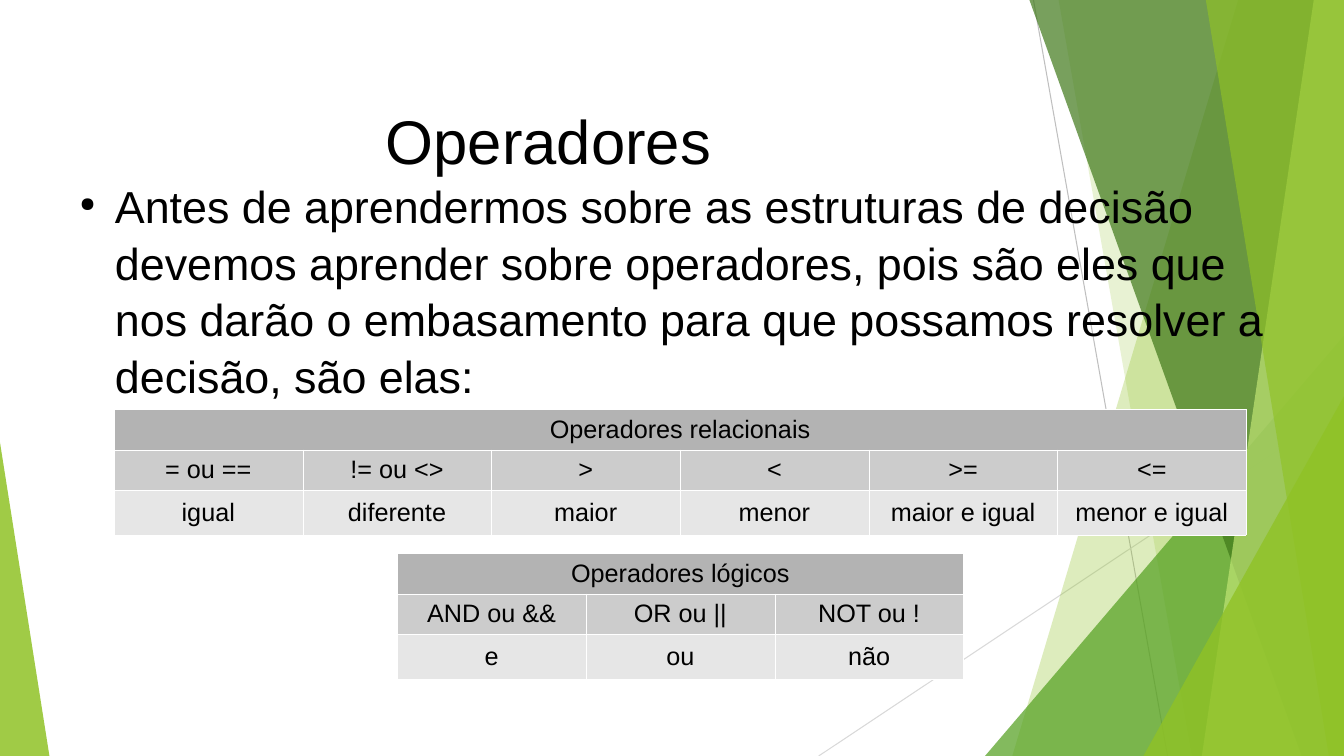
from lxml import etree
from pptx import Presentation
from pptx.dml.color import RGBColor
from pptx.enum.text import MSO_ANCHOR, PP_ALIGN
from pptx.oxml import parse_xml
from pptx.oxml.ns import nsdecls, qn
from pptx.util import Inches, Pt

BLACK = RGBColor(0x00, 0x00, 0x00)
WHITE = RGBColor(0xFF, 0xFF, 0xFF)
LIME = RGBColor(0x90, 0xC2, 0x26)
PALE_LIME = RGBColor(0xC0, 0xE4, 0x74)
GREEN = RGBColor(0x54, 0xA0, 0x21)
DARK_GREEN = RGBColor(0x3F, 0x78, 0x19)
LINE_GRAY = RGBColor(0xBF, 0xBF, 0xBF)
LIGHT_LINE_GRAY = RGBColor(0xD9, 0xD9, 0xD9)
ROW_GRAYS = [RGBColor(level, level, level) for level in (0xB3, 0xCC, 0xE6)]

WIDTH, HEIGHT = 13.33, 7.5
COLUMN_WIDTH = 1.872
ROW_HEIGHTS = (0.38, 0.38, 0.45)


class SlideBuilder:
    font_name = "Arial"

    def __init__(self, slide):
        self.slide = slide
        self.shapes = slide.shapes

    def style_paragraph(self, paragraph, size, alignment):
        paragraph.alignment = alignment
        for run in paragraph.runs:
            run.font.name = self.font_name
            run.font.size = Pt(size)
            run.font.color.rgb = BLACK

    def place_text(self, shape, box, text, anchor):
        shape.left, shape.top, shape.width, shape.height = map(Inches, box)
        frame = shape.text_frame
        frame.margin_left = frame.margin_right = 0
        frame.margin_top = frame.margin_bottom = 0
        frame.word_wrap = True
        frame.vertical_anchor = anchor
        frame.text = text
        return frame.paragraphs[0]

    def title(self, text, box):
        paragraph = self.place_text(self.shapes.title, box, text, MSO_ANCHOR.MIDDLE)
        self.style_paragraph(paragraph, 44, PP_ALIGN.CENTER)

    def bullet(self, text, box):
        shape = self.shapes.add_textbox(*map(Inches, box))
        paragraph = self.place_text(shape, box, text, MSO_ANCHOR.TOP)
        properties = paragraph._p.get_or_add_pPr()
        properties.set("marL", str(Inches(0.47)))
        properties.set("indent", str(Inches(-0.35)))
        color = etree.SubElement(properties, qn("a:buClr"))
        etree.SubElement(color, qn("a:srgbClr"), val=str(BLACK))
        etree.SubElement(properties, qn("a:buSzPct"), val="45000")
        etree.SubElement(properties, qn("a:buChar"), char="●")
        paragraph.line_spacing = 1.05
        self.style_paragraph(paragraph, 32, PP_ALIGN.LEFT)

    def line(self, start, end, color):
        connector = self.shapes.add_connector(1, *map(Inches, start + end))
        connector.line.color.rgb = color
        connector.line.width = Pt(0.75)
        etree.SubElement(connector._element.spPr, qn("a:effectLst"))

    def polygon(self, points, color, opacity):
        corners = [(Inches(x), Inches(y)) for x, y in points]
        builder = self.shapes.build_freeform(*corners[0])
        builder.add_line_segments(corners[1:], close=True)
        shape = builder.convert_to_shape()
        shape.shadow.inherit = False
        shape.line.fill.background()
        shape.fill.solid()
        shape.fill.fore_color.rgb = color
        color_element = shape._element.spPr.find(".//" + qn("a:srgbClr"))
        etree.SubElement(color_element, qn("a:alpha"), val=str(opacity * 1000))

    def cell(self, cell, text, color):
        properties = cell._tc.get_or_add_tcPr()
        for side in ("lnL", "lnR", "lnT", "lnB"):
            properties.append(parse_xml(
                f'<a:{side} {nsdecls("a")} w="{Pt(0.06)}"><a:solidFill>'
                f'<a:srgbClr val="{WHITE}"/></a:solidFill></a:{side}>'))
        cell.fill.solid()
        cell.fill.fore_color.rgb = color
        cell.vertical_anchor = MSO_ANCHOR.MIDDLE
        cell.text = text
        self.style_paragraph(cell.text_frame.paragraphs[0], 18, PP_ALIGN.CENTER)

    def operator_table(self, heading, operators, left, top):
        count = len(operators)
        frame = self.shapes.add_table(
            3, count, Inches(left), Inches(top),
            Inches(COLUMN_WIDTH * count), Inches(sum(ROW_HEIGHTS)))
        table = frame.table
        table.first_row = table.horz_banding = False
        for column in table.columns:
            column.width = Inches(COLUMN_WIDTH)
        symbols, meanings = zip(*operators)
        rows = ([heading] + [""] * (count - 1), symbols, meanings)
        for row_index, texts in enumerate(rows):
            table.rows[row_index].height = Inches(ROW_HEIGHTS[row_index])
            for column_index, text in enumerate(texts):
                self.cell(table.cell(row_index, column_index), text, ROW_GRAYS[row_index])
        table.cell(0, 0).merge(table.cell(0, count - 1))


def main():
    presentation = Presentation()
    presentation.slide_width = Inches(WIDTH)
    presentation.slide_height = Inches(HEIGHT)
    builder = SlideBuilder(presentation.slides.add_slide(presentation.slide_layouts[5]))

    # Background lines
    builder.line((10.25, 0), (11.58, HEIGHT), LINE_GRAY)
    builder.line((WIDTH, 4.03), (8.12, HEIGHT), LIGHT_LINE_GRAY)

    # Translucent facets: full-height bands and corner triangles on the right
    def band(top_x, bottom_x):
        return [(top_x, 0), (WIDTH, 0), (WIDTH, HEIGHT), (bottom_x, HEIGHT)]

    def corner(left, top):
        return [(left, HEIGHT), (WIDTH, top), (WIDTH, HEIGHT)]

    facets = [
        (band(12.28, 10.04), LIME, 30),
        (band(10.5, 11.82), LIME, 20),
        (corner(9.77, 3.33), GREEN, 72),
        (band(10.21, 12.91), DARK_GREEN, 70),
        (band(13.03, 11.92), PALE_LIME, 70),
        (band(11.96, 13.18), LIME, 65),
        (corner(11.34, 3.93), LIME, 80),
        ([(0, HEIGHT), (0, 4.39), (0.49, HEIGHT)], LIME, 85),
    ]
    for points, color, opacity in facets:
        builder.polygon(points, color, opacity)

    # Title and introduction; the title goes in front of the background
    builder.title("Operadores", (0.74, 0.67, 9.4, 1.44))
    title_element = builder.shapes.title._element
    title_element.getparent().append(title_element)
    builder.bullet(
        "Antes de aprendermos sobre as estruturas de decisão devemos aprender "
        "sobre operadores, pois são eles que nos darão o embasamento para que "
        "possamos resolver a decisão, são elas:", (0.67, 1.75, 12, 4.35))

    # Operator tables
    builder.operator_table("Operadores relacionais", [
        ("= ou ==", "igual"), ("!= ou <>", "diferente"), (">", "maior"),
        ("<", "menor"), (">=", "maior e igual"), ("<=", "menor e igual"),
    ], 1.13, 4.06)
    builder.operator_table("Operadores lógicos", [
        ("AND ou &&", "e"), ("OR ou ||", "ou"), ("NOT ou !", "não"),
    ], 3.94, 5.49)

    presentation.save("out.pptx")


if __name__ == "__main__":
    main()
